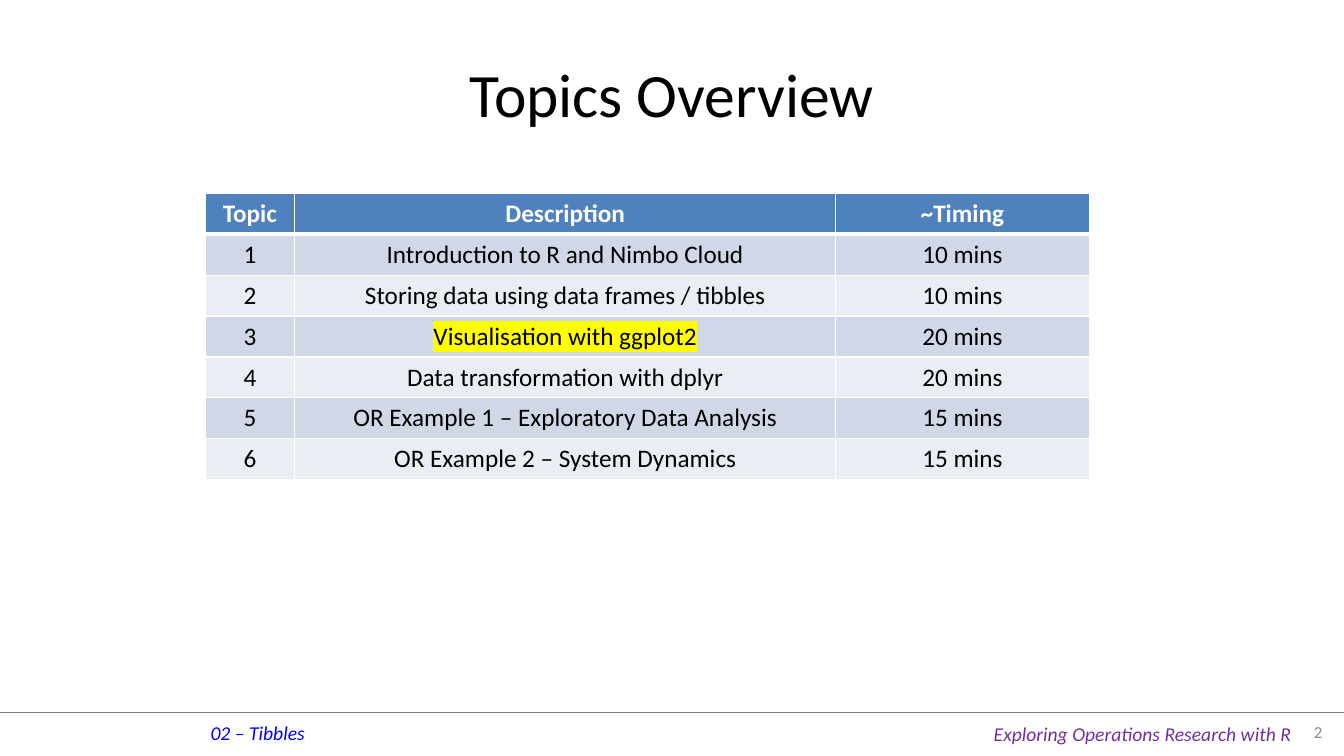
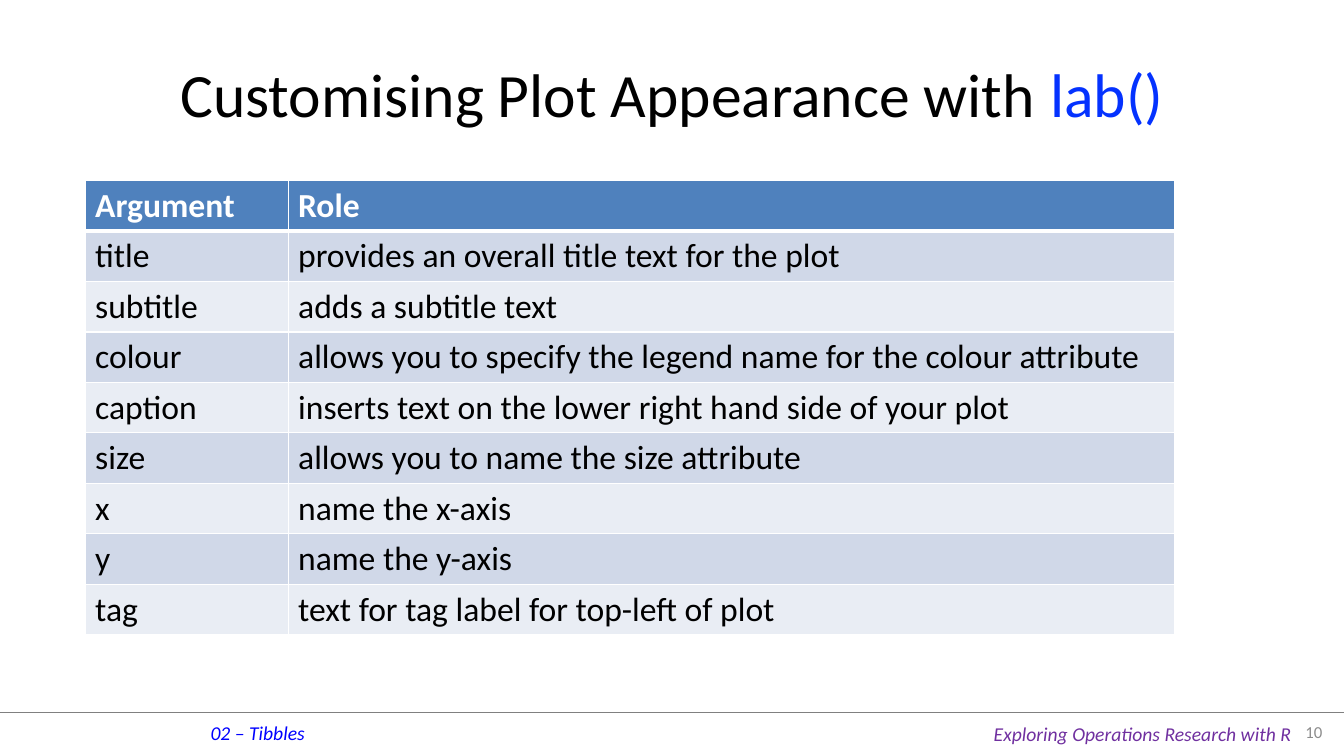
from lxml import etree
from pptx import Presentation
from pptx.dml.color import RGBColor
from pptx.enum.shapes import MSO_CONNECTOR
from pptx.enum.text import MSO_ANCHOR as Anchor, MSO_AUTO_SIZE as AutoSize, PP_ALIGN as Align
from pptx.oxml.ns import qn
from pptx.util import Pt

FONT = "Calibri"
WIDTH, HEIGHT = 960, 540
FOOTER_TOP = 509
COLORS = {
    "text": "000000", "white": "FFFFFF", "rule": "808080", "number": "8C8C8C",
    "section": "0000FF", "course": "7030A0", "code": "0432FF", "highlight": "FFFF00",
    "header": "4F81BD", "odd_row": "D0D8E8", "even_row": "E9EDF4",
}
TOPICS = [
    ("Topic", "Description", "~Timing"),
    ("1", "Introduction to R and Nimbo Cloud", "10 mins"),
    ("2", "Storing data using data frames / tibbles", "10 mins"),
    ("3", "Visualisation with ggplot2", "20 mins"),
    ("4", "Data transformation with dplyr", "20 mins"),
    ("5", "OR Example 1 – Exploratory Data Analysis", "15 mins"),
    ("6", "OR Example 2 – System Dynamics", "15 mins"),
]
ARGUMENTS = [
    ("Argument", "Role"),
    ("title", "provides an overall title text for the plot"),
    ("subtitle", "adds a subtitle text"),
    ("colour", "allows you to specify the legend name for the colour attribute"),
    ("caption", "inserts text on the lower right hand side of your plot"),
    ("size", "allows you to name the size attribute"),
    ("x", "name the x-axis"),
    ("y", "name the y-axis"),
    ("tag", "text for tag label for top-left of plot"),
]


def rgb(name):
    """Return the named palette colour."""
    return RGBColor.from_string(COLORS[name])


def write(frame, text, size=18, color="text", bold=False, italic=False,
          align=Align.LEFT, highlight=None):
    """Append a formatted run to the first paragraph of a text frame."""
    paragraph = frame.paragraphs[0]
    paragraph.alignment = align
    run = paragraph.add_run()
    run.text = text
    font = run.font
    font.name, font.size, font.bold, font.italic = FONT, Pt(size), bold, italic
    font.color.rgb = rgb(color)
    if highlight:
        marker = etree.Element(qn("a:highlight"))
        etree.SubElement(marker, qn("a:srgbClr"), val=COLORS[highlight])
        run.font.fill._xPr.find(qn("a:solidFill")).addnext(marker)


def add_label(slide, left, top, width, height, text, **text_format):
    """Add a one-line text box and return its text frame."""
    box = slide.shapes.add_textbox(Pt(left), Pt(top), Pt(width), Pt(height))
    write(box.text_frame, text, **text_format)
    return box.text_frame


def add_footer(slide, number):
    """Add the rule, the section and course names, and the slide number."""
    rule = slide.shapes.add_connector(
        MSO_CONNECTOR.STRAIGHT, Pt(0), Pt(FOOTER_TOP), Pt(WIDTH), Pt(FOOTER_TOP))
    rule.line.color.rgb = rgb("rule")
    rule.line.width = Pt(0.25)
    etree.SubElement(rule.element.spPr, qn("a:effectLst"))
    for left, top, width, text, color in (
            (143.3, 511.2, 82.8, "02 – Tibbles", "section"),
            (702.7, 511.9, 229, "Exploring Operations Research with R", "course")):
        frame = add_label(slide, left, top, width, 24.5, text,
                          size=14, color=color, italic=True)
        frame.word_wrap = False
        frame.auto_size = AutoSize.SHAPE_TO_FIT_TEXT
    number_frame = add_label(slide, 912, FOOTER_TOP, 39.6, 28, str(number),
                             size=12, color="number", align=Align.RIGHT)
    number_frame.word_wrap = True
    number_frame.vertical_anchor = Anchor.MIDDLE


def add_titled_slide(deck, number, *title_parts):
    """Add a slide with the shared footer and a title of (text, colour) parts."""
    slide = deck.slides.add_slide(deck.slide_layouts[5])
    add_footer(slide, number)
    title = slide.shapes.title
    title.left, title.top, title.width, title.height = Pt(48), Pt(21.6), Pt(864), Pt(90)
    title.text_frame.vertical_anchor = Anchor.MIDDLE
    for text, color in title_parts:
        write(title.text_frame, text, size=44, color=color, align=Align.CENTER)
    return slide


def set_borders(cell, top, bottom):
    """Give a cell white borders, with top and bottom widths in points."""
    properties = cell._tc.get_or_add_tcPr()
    widths = {"a:lnL": 1, "a:lnR": 1, "a:lnT": top, "a:lnB": bottom}
    for position, (tag, width) in enumerate(widths.items()):
        border = etree.Element(qn(tag), w=str(Pt(width)))
        fill = etree.SubElement(border, qn("a:solidFill"))
        etree.SubElement(fill, qn("a:srgbClr"), val=COLORS["white"])
        properties.insert(position, border)


def add_banded_table(slide, rows, left, top, widths, row_height, size,
                     align=Align.LEFT, marked=None):
    """Add a banded table with a header, highlighting the marked text."""
    table = slide.shapes.add_table(
        len(rows), len(widths), Pt(left), Pt(top),
        Pt(sum(widths)), Pt(row_height * len(rows))).table
    for column, width in zip(table.columns, widths):
        column.width = Pt(width)
    for r, texts in enumerate(rows):
        header = r == 0
        band = "header" if header else "odd_row" if r % 2 else "even_row"
        for c, text in enumerate(texts):
            cell = table.cell(r, c)
            cell.fill.solid()
            cell.fill.fore_color.rgb = rgb(band)
            set_borders(cell, top=3 if r == 1 else 1, bottom=3 if header else 1)
            write(cell.text_frame, text, size=size, align=align, bold=header,
                  color="white" if header else "text",
                  highlight="highlight" if text == marked else None)


def main():
    """Build and save the two slides."""
    deck = Presentation()
    deck.slide_width, deck.slide_height = Pt(WIDTH), Pt(HEIGHT)

    overview = add_titled_slide(deck, 2, ("Topics Overview", "text"))
    add_banded_table(overview, TOPICS, 146.5, 138.2, (64, 386.5, 181), 29.2, 18,
                     align=Align.CENTER, marked="Visualisation with ggplot2")

    appearance = add_titled_slide(
        deck, 10, ("Customising Plot Appearance with ", "text"), ("lab()", "code"))
    add_banded_table(appearance, ARGUMENTS, 60.8, 129, (145, 633.5), 36, 24)

    deck.save("out.pptx")


if __name__ == "__main__":
    main()
